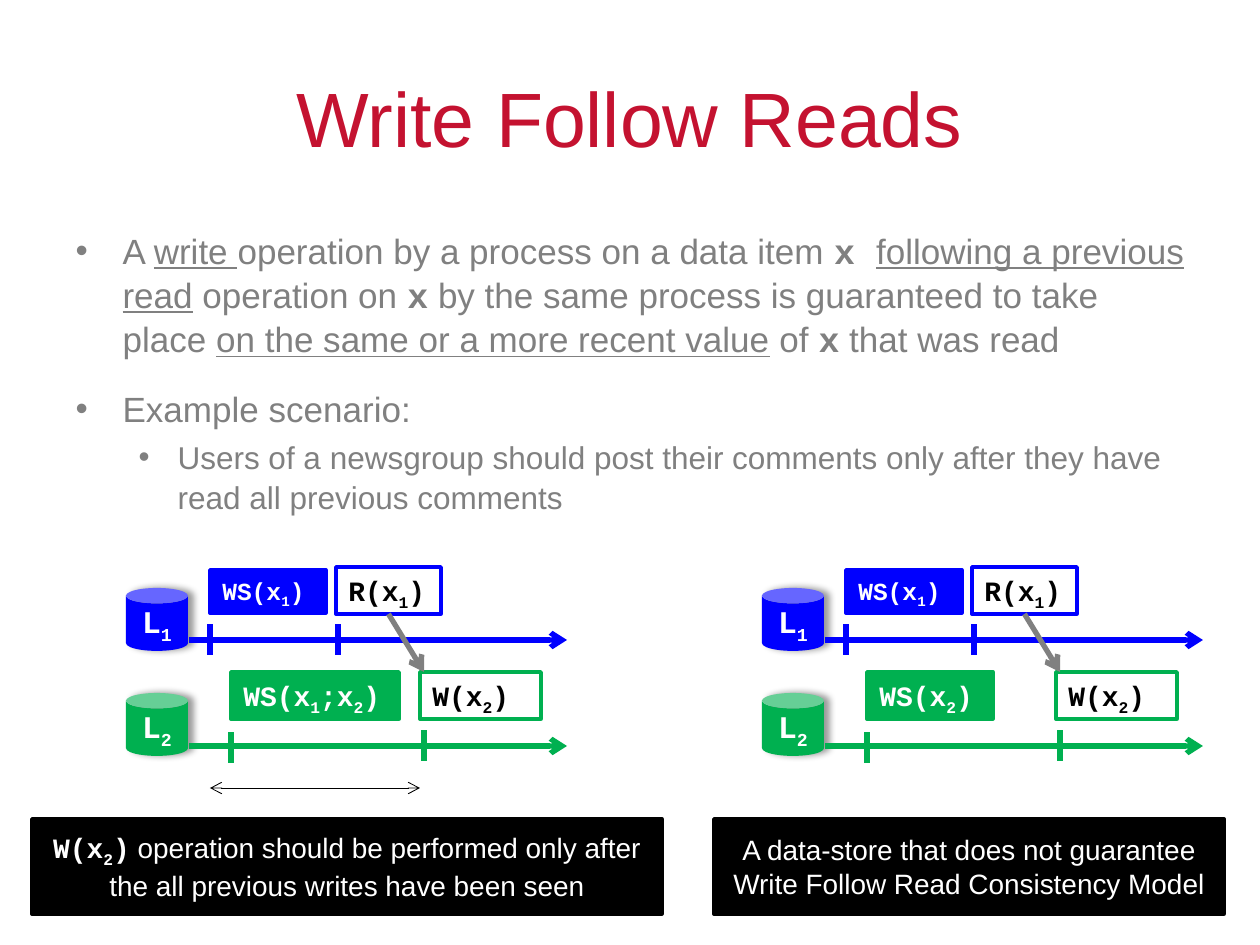
from dataclasses import dataclass

from lxml import etree
from pptx import Presentation
from pptx.dml.color import RGBColor
from pptx.enum.shapes import MSO_CONNECTOR, MSO_SHAPE
from pptx.enum.text import MSO_ANCHOR, MSO_AUTO_SIZE, PP_ALIGN
from pptx.oxml.ns import qn
from pptx.util import Emu, Pt

STRAIGHT = MSO_CONNECTOR.STRAIGHT
CAN, RECTANGLE = MSO_SHAPE.CAN, MSO_SHAPE.RECTANGLE
TOP, MIDDLE = MSO_ANCHOR.TOP, MSO_ANCHOR.MIDDLE
LEFT, CENTER = PP_ALIGN.LEFT, PP_ALIGN.CENTER
NO_AUTOFIT = MSO_AUTO_SIZE.NONE
FIT_SHAPE = MSO_AUTO_SIZE.SHAPE_TO_FIT_TEXT

PX_PER_INCH = 126
SANS, MONO = "Arial", "Courier New"
BLUE, GREEN, GRAY = "0000FF", "00B050", "808080"
BLACK, WHITE, CRIMSON = "000000", "FFFFFF", "C41230"


@dataclass(frozen=True)
class Run:
    text: str
    font: str = SANS
    bold: bool = False
    underline: bool = False
    subscript: bool = False


@dataclass(frozen=True)
class Bullet:
    runs: list[Run]
    level: int
    size: int
    margin: int
    hanging: int
    space_before: float


@dataclass(frozen=True)
class Operation:
    label: list[Run]
    left: int
    top: int
    width: int
    height: int
    color: str
    filled: bool
    size: int = 16


@dataclass(frozen=True)
class Replica:
    label: list[Run]
    top: int
    axis: int
    color: str


@dataclass(frozen=True)
class Tick:
    x: int
    top: int
    color: str


@dataclass(frozen=True)
class Scenario:
    offset: int
    second_writes: list[Run]
    second_writes_width: int
    caption: list[Run]
    caption_left: int
    caption_width: int


def px(length: int) -> Emu:
    return Emu(round(length * 914400 / PX_PER_INCH))


def rgb(color: str) -> RGBColor:
    return RGBColor.from_string(color)


def code(*parts: str) -> list[Run]:
    return [Run(part, MONO, bold=True, subscript=i % 2 == 1) for i, part in enumerate(parts)]


def add_runs(paragraph, runs: list[Run], size: int, color: str) -> None:
    for item in runs:
        run = paragraph.add_run()
        run.text = item.text
        run.font.name = item.font
        run.font.size = Pt(size)
        run.font.bold = item.bold
        run.font.underline = item.underline
        run.font.color.rgb = rgb(color)
        if item.subscript:
            run.font._element.set("baseline", "-25000")


def place(shape, left: int, top: int, width: int, height: int) -> None:
    shape.left, shape.top = px(left), px(top)
    shape.width, shape.height = px(width), px(height)


def add_bullet(paragraph, bullet: Bullet) -> None:
    properties = paragraph._p.get_or_add_pPr()
    properties.set("marL", str(px(bullet.margin)))
    properties.set("indent", str(-px(bullet.hanging)))
    etree.SubElement(properties, qn("a:buFont"), typeface=SANS)
    etree.SubElement(properties, qn("a:buChar"), char="•")
    paragraph.level = bullet.level
    paragraph.line_spacing = 1.05
    paragraph.space_before = Pt(bullet.space_before)
    add_runs(paragraph, bullet.runs, bullet.size, GRAY)


def add_box(slide, kind, bounds: tuple[int, int, int, int], fill: str, line: str | None,
            runs: list[Run], size: int, color: str, align=CENTER, anchor=MIDDLE):
    box = slide.shapes.add_shape(kind, *map(px, bounds))
    box.shadow.inherit = False
    box.fill.solid()
    box.fill.fore_color.rgb = rgb(fill)
    if line:
        box.line.color.rgb = rgb(line)
        box.line.width = Pt(2)
    else:
        box.line.fill.background()
    frame = box.text_frame
    frame.word_wrap = True
    frame.vertical_anchor = anchor
    frame.paragraphs[0].alignment = align
    add_runs(frame.paragraphs[0], runs, size, color)
    return box


def add_line(slide, start: tuple[int, int], end: tuple[int, int], color: str,
             width: float = 3, arrows: tuple[str, ...] = ()):
    line = slide.shapes.add_connector(STRAIGHT, *map(px, start + end))
    line.line.color.rgb = rgb(color)
    line.line.width = Pt(width)
    for arrow in arrows:
        etree.SubElement(line.line._get_or_add_ln(), qn(f"a:{arrow}"), type="arrow")
    etree.SubElement(line._element.spPr, qn("a:effectLst"))
    return line


def add_replica(slide, replica: Replica, offset: int) -> None:
    store = add_box(slide, CAN, (126 + offset, replica.top, 62, 63), replica.color, None,
                    replica.label, 18, WHITE)
    effects = store._element.spPr.find(qn("a:effectLst"))
    shadow = etree.SubElement(effects, qn("a:outerShdw"), blurRad=str(Pt(4)),
                              dist=str(Pt(3)), dir="0", algn="l", rotWithShape="0")
    shade = etree.SubElement(shadow, qn("a:srgbClr"), val=BLACK)
    etree.SubElement(shade, qn("a:alpha"), val="40000")
    add_line(slide, (189 + offset, replica.axis), (567 + offset, replica.axis),
             replica.color, arrows=("tailEnd",))


def add_operation(slide, operation: Operation, offset: int):
    box = add_box(slide, RECTANGLE,
                  (operation.left + offset, operation.top, operation.width, operation.height),
                  operation.color if operation.filled else WHITE, operation.color,
                  operation.label, operation.size, WHITE if operation.filled else BLACK,
                  LEFT, TOP)
    box.text_frame.auto_size = FIT_SHAPE
    return box


def add_scenario(slide, scenario: Scenario) -> None:
    offset = scenario.offset
    for replica in REPLICAS:
        add_replica(slide, replica, offset)
    add_operation(slide, Operation(scenario.second_writes, 231, 672,
                                   scenario.second_writes_width, 47, GREEN, True), offset)
    add_operation(slide, FIRST_WRITES, offset)
    add_operation(slide, WRITE, offset)
    read = add_operation(slide, READ, offset)
    for tick in TICKS:
        x = tick.x + offset
        add_line(slide, (x, tick.top + 31), (x, tick.top), tick.color)
    dependency = add_line(slide, (388 + offset, 614), (424 + offset, 672), GRAY,
                          arrows=("tailEnd",))
    dependency.begin_connect(read, 2)
    add_box(slide, RECTANGLE, (scenario.caption_left, 819, scenario.caption_width, 95),
            BLACK, BLACK, scenario.caption, 16, WHITE)


REPLICAS = [Replica(code("L", "1"), 588, 640, BLUE), Replica(code("L", "2"), 693, 746, GREEN)]
FIRST_WRITES = Operation(code("WS(x", "1", ")"), 210, 570, 116, 43, BLUE, True, 14)
READ = Operation(code("R(x", "1", ")"), 336, 567, 105, 47, BLUE, False)
WRITE = Operation(code("W(x", "2", ")"), 420, 672, 121, 47, GREEN, False)
TICKS = [Tick(210, 624, BLUE), Tick(338, 624, BLUE), Tick(231, 732, GREEN), Tick(424, 730, GREEN)]
SCENARIOS = [
    Scenario(0, code("WS(x", "1", ";x", "2", ")"), 168,
             code("W(x", "2", ")") + [Run(" operation should be performed only after the all "
                                          "previous writes have been seen")], 32, 630),
    Scenario(636, code("WS(x", "2", ")"), 126,
             [Run("A data-store that does not guarantee Write Follow Read Consistency Model")],
             714, 510),
]
DEFINITION = [
    Run("A "), Run("write ", underline=True), Run("operation by a process on a data item "),
    *code("x "), Run("following a previous read", underline=True), Run(" operation on "),
    *code("x"), Run(" by the same process is guaranteed to take place "),
    Run("on the same or a more recent value", underline=True), Run(" of "),
    *code("x"), Run(" that was read"),
]
BULLETS = [
    Bullet(DEFINITION, 0, 20, 47, 47, 0),
    Bullet([Run("Example scenario:")], 0, 20, 47, 47, 15),
    Bullet([Run("Users of a newsgroup should post their comments only after they have "
                "read all previous comments")], 1, 18, 102, 39, 3.6),
]


def main() -> None:
    presentation = Presentation()
    presentation.slide_width, presentation.slide_height = px(1260), px(945)
    slide = presentation.slides.add_slide(presentation.slide_layouts[1])
    title, body = slide.placeholders
    place(title, 63, 38, 1134, 158)
    title.text_frame.auto_size = NO_AUTOFIT
    title.text_frame.vertical_anchor = MIDDLE
    title.text_frame.paragraphs[0].alignment = CENTER
    add_runs(title.text_frame.paragraphs[0], [Run("Write Follow Reads")], 44, CRIMSON)
    place(body, 63, 221, 1134, 624)
    frame = body.text_frame
    frame.auto_size = NO_AUTOFIT
    for i, bullet in enumerate(BULLETS):
        add_bullet(frame.add_paragraph() if i else frame.paragraphs[0], bullet)
    for scenario in SCENARIOS:
        add_scenario(slide, scenario)
    add_line(slide, (210, 788), (420, 788), BLACK, 0.5, ("headEnd", "tailEnd"))
    presentation.save("out.pptx")


if __name__ == "__main__":
    main()
